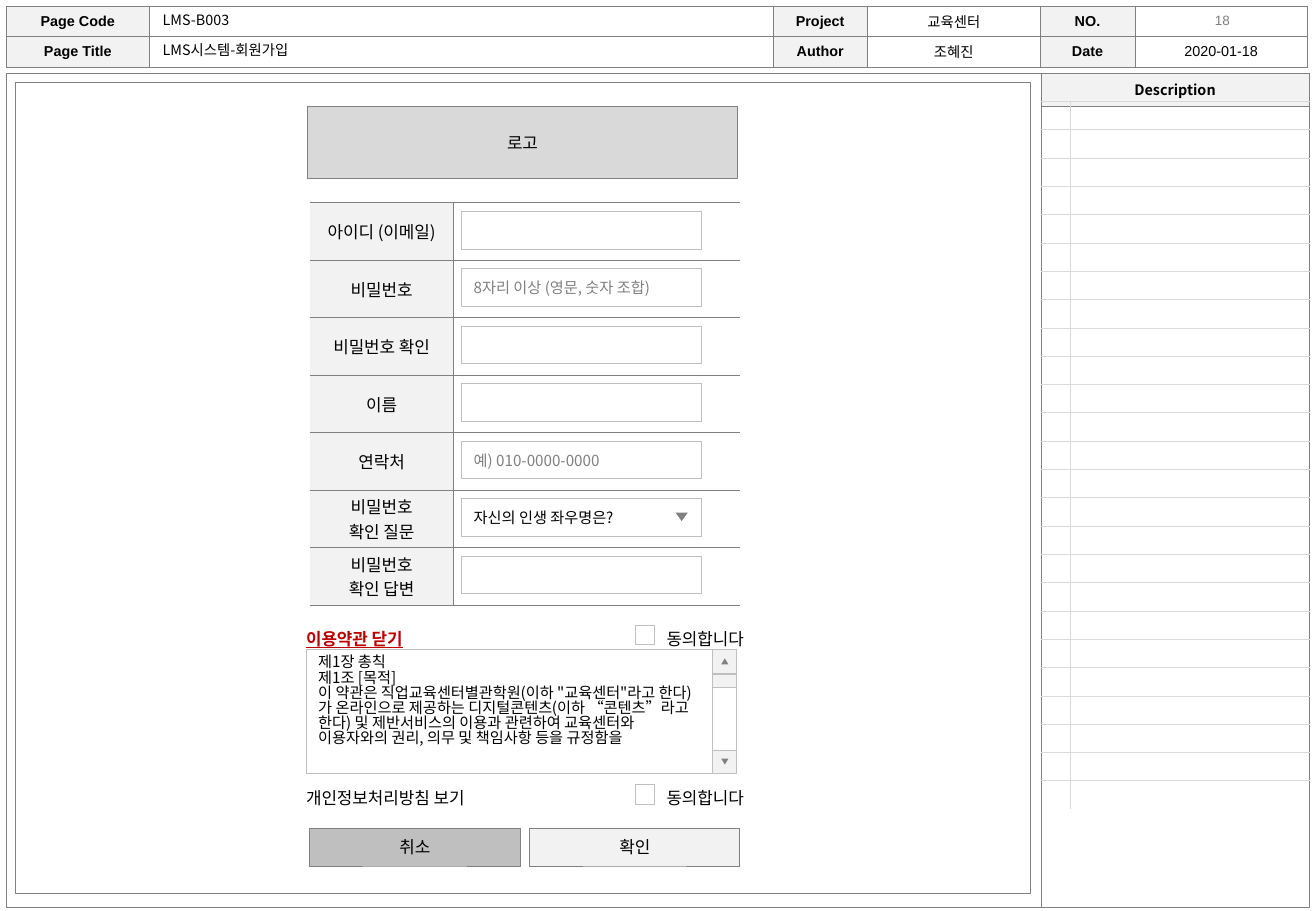
from dataclasses import dataclass
from typing import Any

from lxml.etree import SubElement
from pptx import Presentation
from pptx.dml.color import RGBColor
from pptx.enum.shapes import MSO_SHAPE
from pptx.enum.text import MSO_ANCHOR, PP_ALIGN
from pptx.oxml.ns import qn
from pptx.util import Inches, Pt

RECT, WEDGE = MSO_SHAPE.RECTANGLE, MSO_SHAPE.ISOSCELES_TRIANGLE
TOP, MIDDLE = MSO_ANCHOR.TOP, MSO_ANCHOR.MIDDLE
LEFT, CENTER, RIGHT = PP_ALIGN.LEFT, PP_ALIGN.CENTER, PP_ALIGN.RIGHT

COLS, ROWS = 108.3, 75  # the slide as a grid of square cells


@dataclass(frozen=True)
class Theme:
    sans: str = "Noto Sans CJK KR"
    head: str = "Arial"
    black: str = "000000"
    white: str = "FFFFFF"
    gray: str = "808080"
    page: str = "7F7F7F"
    pale: str = "F2F2F2"
    rule: str = "D9D9D9"
    edge: str = "BFBFBF"
    red: str = "C00000"
    tiny: float = 8
    small: float = 8.5
    hint: float = 9
    body: float = 10
    hair: float = 0.25
    thin: float = 0.5


@dataclass(frozen=True)
class Box:
    x: float
    y: float
    w: float
    h: float


@dataclass(frozen=True)
class Field:
    label: str
    hint: str = ""
    color: str = Theme.gray


@dataclass(frozen=True)
class Terms:
    y: float
    text: str
    color: str = Theme.black
    strong: bool = False


T = Theme()

HEADER = [
    ("Page Code", "", "Project", "교육센터", "NO.", ""),
    ("Page Title", "", "Author", "조혜진", "Date", "2020-01-18"),
]
FIELDS = [
    Field("아이디 (이메일)"),
    Field("비밀번호", "8자리 이상 (영문, 숫자 조합)"),
    Field("비밀번호 확인"),
    Field("이름"),
    Field("연락처", "예) 010-0000-0000"),
    Field("비밀번호\n확인 질문", "자신의 인생 좌우명은?", T.black),
    Field("비밀번호\n확인 답변"),
]
TERMS = [
    Terms(50.4, "이용약관 닫기", T.red, True),
    Terms(63.5, "개인정보처리방침 보기"),
]
CLAUSE = (
    "제1장 총칙\n제1조 [목적]\n"
    "이 약관은 직업교육센터별관학원(이하 \"교육센터\"라고 한다)가 온라인으로 "
    "제공하는 디지털콘텐츠(이하 “콘텐츠”라고 한다) 및 제반서비스의 이용과 "
    "관련하여 교육센터와 이용자와의 권리, 의무 및 책임사항 등을 규정함을"
)


def span(n: float) -> int:
    """Length of n grid cells."""
    return Inches(n / 10)


def place(box: Box) -> tuple[int, ...]:
    return tuple(span(n) for n in (box.x, box.y, box.w, box.h))


def write(frame: Any, text: str, *, size: float = T.body, font: str = T.sans,
          color: str = T.black, bold: bool = False, under: bool = False,
          align: Any = LEFT, space: float = 1.0) -> None:
    for i, line in enumerate(text.split("\n")):
        para = frame.add_paragraph() if i else frame.paragraphs[0]
        para.alignment, para.line_spacing = align, space
        if not line:
            SubElement(para._p, qn("a:endParaRPr"), sz=str(int(size * 100)))
            continue
        run = para.add_run()
        run.text = line
        face = run.font
        face.name, face.size, face.bold, face.underline = font, Pt(size), bold, under
        face.color.rgb = RGBColor.from_string(color)
        SubElement(face._element, qn("a:ea"), typeface=T.sans)


def label(slide: Any, box: Box, text: str, *, wrap: bool = True, **form: Any) -> None:
    frame = slide.shapes.add_textbox(*place(box)).text_frame
    frame.word_wrap = wrap
    write(frame, text, **form)


def draw(slide: Any, box: Box, fill: str, line: str = "", text: str = "", *,
         kind: Any = RECT, turn: float = 0, anchor: Any = MIDDLE, **form: Any) -> None:
    shape = slide.shapes.add_shape(kind, *place(box))
    shape.shadow.inherit = False
    shape.rotation = turn
    shape.fill.solid()
    shape.fill.fore_color.rgb = RGBColor.from_string(fill)
    if line:
        shape.line.color.rgb = RGBColor.from_string(line)
        shape.line.width = Pt(T.thin)
    else:
        shape.line.fill.background()
    if text:
        shape.text_frame.word_wrap = True
        shape.text_frame.vertical_anchor = anchor
        write(shape.text_frame, text, **form)


def grid(slide: Any, x: float, y: float, wide: list[float], high: list[float]) -> Any:
    """Add a plain table with the given column widths and row heights."""
    box = Box(x, y, sum(wide), sum(high))
    table = slide.shapes.add_table(len(high), len(wide), *place(box)).table
    table.first_row = table.horz_banding = False
    for col, w in zip(table.columns, wide):
        col.width = span(w)
    for row, h in zip(table.rows, high):
        row.height = span(h)
    return table


def style(cell: Any, text: str, edges: str, color: str, width: float, *,
          fill: str = "", inset: float = 0.5, anchor: Any = MIDDLE, **form: Any) -> None:
    """Fill a cell and rule the sides named in edges, out of LRTB."""
    props = cell._tc.get_or_add_tcPr()
    for side in "LRTB":
        line = SubElement(props, qn(f"a:ln{side}"), w=str(Pt(width)))
        if side in edges:
            solid = SubElement(line, qn("a:solidFill"))
            SubElement(solid, qn("a:srgbClr"), val=color)
        else:
            SubElement(line, qn("a:noFill"))
    if fill:
        cell.fill.solid()
        cell.fill.fore_color.rgb = RGBColor.from_string(fill)
    else:
        cell.fill.background()
    cell.margin_top = cell.margin_bottom = span(inset)
    cell.vertical_anchor = anchor
    write(cell.text_frame, text, **form)


def draw_frame(slide: Any) -> None:
    table = grid(slide, 0.5, 6, [85.2, 22], [2.7, 66])
    for r, sides in enumerate(("LRT", "LRB")):
        style(table.cell(r, 0), "", sides, T.gray, T.hair, size=T.small)
    style(table.cell(0, 1), "Description", "LRTB", T.gray, T.hair, fill=T.pale,
          anchor=TOP, size=T.small, bold=True, align=CENTER)
    style(table.cell(1, 1), "", "LRTB", T.gray, T.hair, size=T.small)

    table = grid(slide, 0.5, 0.5, [11.8, 51.3, 7.8, 14.2, 7.8, 14.2], [2.5] * 2)
    for r, words in enumerate(HEADER):
        for c, word in enumerate(words):
            name = c % 2 == 0
            style(table.cell(r, c), word, "LRTB", T.gray, T.hair, inset=0.4,
                  fill=T.pale if name else "", size=T.small, font=T.head,
                  bold=name, align=CENTER)
    label(slide, Box(93.5, 0.5, 14.2, 2.4), "18", size=T.tiny, font=T.head,
          color=T.page, align=CENTER)
    draw(slide, Box(1.3, 6.8, 83.5, 66.8), T.white, T.gray)
    for y, text in ((2.9, "LMS시스템-회원가입"), (0.4, "LMS-B003")):
        label(slide, Box(12.4, y, 51.2, 2.4), text, size=T.small)


def draw_notes(slide: Any) -> None:
    count = 25
    table = grid(slide, 85.7, 8.35, [2.4, 19.7], [58.3 / count] * count)
    for r in range(count):
        foot = "" if r == count - 1 else "B"
        for c, sides in enumerate(("RT", "LT")):
            style(table.cell(r, c), "", sides + foot, T.rule, T.thin,
                  inset=0, size=T.tiny)


def draw_form(slide: Any) -> None:
    top, step = 16.7, 4.73
    table = grid(slide, 25.5, top, [11.8, 23.6], [step] * len(FIELDS))
    for r, field in enumerate(FIELDS):
        style(table.cell(r, 0), field.label, "RTB", T.gray, T.thin,
              fill=T.pale, inset=0.3, align=CENTER)
        style(table.cell(r, 1), "", "LTB", T.gray, T.thin)
        draw(slide, Box(38, top + 0.7 + r * step, 19.7, 3.1), T.white, T.edge,
             field.hint, size=T.hint, color=field.color)
    draw(slide, Box(55.6, 42.2, 1, 0.7), T.gray, kind=WEDGE, turn=180)
    draw(slide, Box(25.3, 8.8, 35.4, 5.9), T.rule, T.gray, "로고", align=CENTER)
    for x, fill, text in ((43.6, T.pale, "확인"), (25.5, T.edge, "취소")):
        draw(slide, Box(x, 68.2, 17.3, 3.1), fill, T.gray, text, align=CENTER)


def draw_terms(slide: Any) -> None:
    draw(slide, Box(25.2, 53.5, 33.5, 10.2), T.white, T.edge, CLAUSE,
         anchor=TOP, size=T.hint, space=0.83)
    draw(slide, Box(58.65, 53.5, 2, 10.2), T.white, T.edge)
    draw(slide, Box(58.65, 55.5, 2, 1.1), T.pale, T.edge)
    for y, turn in ((53.5, 0), (61.75, 180)):
        draw(slide, Box(58.65, y, 2, 1.95), T.pale, T.edge)
        draw(slide, Box(59.35, y + 0.7, 0.6, 0.5), T.gray, kind=WEDGE, turn=turn)
    for item in TERMS:
        label(slide, Box(24.2, item.y, 16.5, 3.2), item.text, wrap=False, space=1.5,
              color=item.color, bold=item.strong, under=item.strong)
        label(slide, Box(53.2, item.y, 9, 3.2), "동의합니다", wrap=False,
              space=1.5, align=RIGHT)
        draw(slide, Box(52.3, item.y + 1.1, 1.6, 1.6), T.white, T.edge)


def main() -> None:
    deck = Presentation()
    deck.slide_width, deck.slide_height = span(COLS), span(ROWS)
    slide = deck.slides.add_slide(deck.slide_layouts[6])
    for part in (draw_frame, draw_terms, draw_notes, draw_form):
        part(slide)
    deck.save("out.pptx")


if __name__ == "__main__":
    main()
